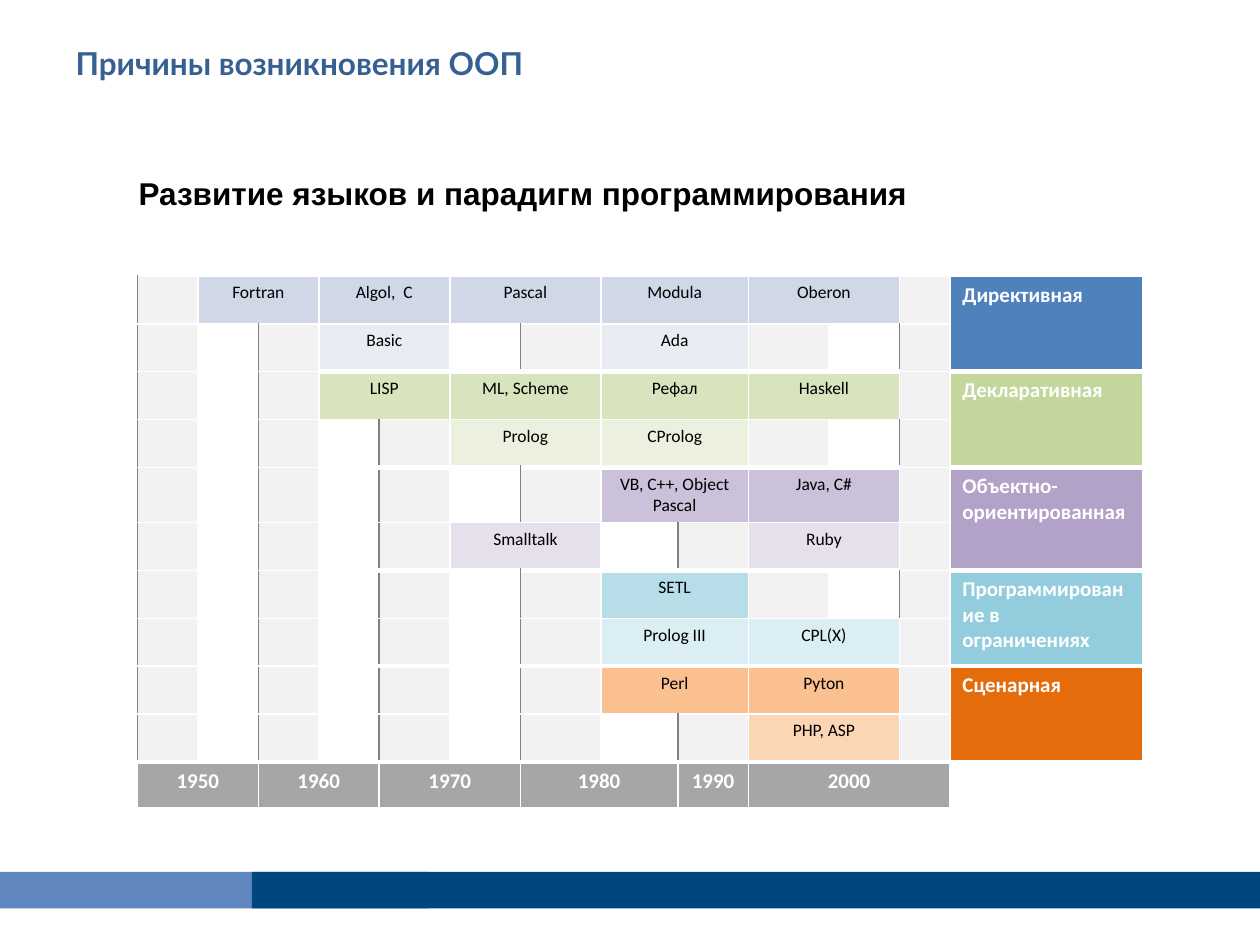
from lxml import etree
from pptx import Presentation
from pptx import util as u
from pptx.dml.color import RGBColor
from pptx.enum import shapes, text
from pptx.oxml import ns

COLORS = {
    "title": "376092", "ink": "000000", "paper": "FFFFFF",
    "band_light": "6087BF", "band_dark": "00467E",
    "stripe": "F2F2F2", "rule": "808080", "years": "A6A6A6",
}

COLUMN_WIDTHS = [0.48, 0.48, 0.48, 0.48, 0.56, 0.56, 0.64,
                 0.61, 0.56, 0.64, 0.56, 0.4, 1.53]
ROW_HEIGHT, TALL_ROW_HEIGHT, TALL_ROW = 0.38, 0.43, 4
STRIPED_COLUMNS = {0, 2, 4, 6, 8, 9, 11}
LABEL_COLUMN, YEAR_ROW = 12, 10
THIN, THICK = 0.96, 3

# Paradigm, its colour, then a (fill, {first column: language}) pair per row
PARADIGMS = [
    ("Директивная", "4F81BD", [
        ("D0D8E7", {1: "Fortran", 3: "Algol,  C", 5: "Pascal", 7: "Modula", 9: "Oberon"}),
        ("E9ECF3", {3: "Basic", 7: "Ada"})]),
    ("Декларативная", "C3D69B", [
        ("D7E4BD", {3: "LISP", 5: "ML, Scheme", 7: "Рефал", 9: "Haskell"}),
        ("EBF1DE", {5: "Prolog", 7: "CProlog"})]),
    ("Объектно-ориентированная", "B3A2C7", [
        ("CCC1DA", {7: "VB, C++, Object Pascal", 9: "Java, C#"}),
        ("E6E0EC", {5: "Smalltalk", 9: "Ruby"})]),
    ("Программирование в ограничениях", "93CDDD", [
        ("B7DEE8", {7: "SETL"}),
        ("DBEEF4", {7: "Prolog III", 9: "СPL(Х)"})]),
    ("Сценарная", "E46C0A", [
        ("FAC090", {7: "Perl", 9: "Pyton"}),
        ("FCD5B5", {9: "PHP, ASP"})]),
]
# Year, first column, number of columns
YEARS = [("1950", 0, 2), ("1960", 2, 2), ("1970", 4, 2),
         ("1980", 6, 2), ("1990", 8, 1), ("2000", 9, 3)]


def rgb(value):
    return RGBColor.from_string(value)


class SlideBuilder:
    def __init__(self, page, body_font="Calibri"):
        self.page = page
        self.body_font = body_font

    def style(self, para, size, color, bold=False, font=None, align=text.PP_ALIGN.LEFT):
        para.alignment = align
        para.font.name = font or self.body_font
        para.font.size = u.Pt(size)
        para.font.bold = bold
        para.font.color.rgb = rgb(color)

    def placeholder(self, index, place, words, font, color):
        box = self.page.placeholders[index]
        box.left, box.top, box.width, box.height = map(u.Inches, place)
        frame = box.text_frame
        frame.text = words
        frame.word_wrap = True
        frame.auto_size = text.MSO_AUTO_SIZE.NONE
        frame.vertical_anchor = text.MSO_ANCHOR.TOP
        para = frame.paragraphs[0]
        self.style(para, 18, color, True, font)
        return para

    def title(self, place, words):
        self.placeholder(0, place, words, "Lato", COLORS["title"])

    def heading(self, place, words):
        para = self.placeholder(1, place, words, "Arial", COLORS["ink"])
        para.space_before = u.Pt(3.6)
        props = para._p.get_or_add_pPr()
        props.set("marL", "0")
        props.set("indent", "0")
        props.insert_element_before(etree.Element(ns.qn("a:buNone")), "a:defRPr")

    def band(self, place, color):
        box = self.page.shapes.add_shape(shapes.MSO_SHAPE.RECTANGLE, *map(u.Inches, place))
        box.shadow.inherit = False
        box.fill.solid()
        box.fill.fore_color.rgb = rgb(color)
        box.line.fill.background()

    def table(self, left, top, widths, heights):
        frame = self.page.shapes.add_table(
            len(heights), len(widths), u.Inches(left), u.Inches(top),
            u.Inches(sum(widths)), u.Inches(sum(heights)))
        table = frame.table
        table.first_row = table.horz_banding = False
        for column, width in zip(table.columns, widths):
            column.width = u.Inches(width)
        for row, height in zip(table.rows, heights):
            row.height = u.Inches(height)
        return table

    def paint(self, cell, fill, left="paper", right="paper", top=THIN, bottom=THIN):
        props = cell._tc.get_or_add_tcPr()
        borders = [("L", left, THIN), ("R", right, THIN),
                   ("T", "paper", top), ("B", "paper", bottom)]
        for side, color, width in borders:
            line = etree.SubElement(props, ns.qn("a:ln" + side), w=str(u.Pt(width)))
            solid = etree.SubElement(line, ns.qn("a:solidFill"))
            etree.SubElement(solid, ns.qn("a:srgbClr"), val=COLORS[color])
        cell.fill.solid()
        cell.fill.fore_color.rgb = rgb(fill)
        self.style(cell.text_frame.paragraphs[0], 10, COLORS["ink"])

    def block(self, table, row, col, words, fill, rows=1, cols=1, **font):
        """Fill a run of cells, join them and write the words in the first."""
        for r in range(row, row + rows):
            for c in range(col, col + cols):
                self.paint(table.cell(r, c), fill, **edges(r, c))
        first = table.cell(row, col)
        if rows * cols > 1:
            first.merge(table.cell(row + rows - 1, col + cols - 1))
        first.text_frame.text = words
        self.style(first.text_frame.paragraphs[0], **font)


def edges(row, col):
    """Thick rules part the paradigms; the outer columns keep thin ones."""
    inner = 3 <= col <= 10 or col == LABEL_COLUMN
    opens = row == YEAR_ROW or (inner and row % 2 == 0 and row > 0)
    closes = row >= YEAR_ROW - 1 or (inner and row % 2 == 1)
    return {"top": THICK if opens else THIN, "bottom": THICK if closes else THIN}


def main():
    deck = Presentation()
    deck.slide_width, deck.slide_height = u.Inches(10), u.Inches(7.5)
    builder = SlideBuilder(deck.slides.add_slide(deck.slide_layouts[1]))

    # Footer bands
    builder.band((-0.02, 6.92, 3.42, 0.29), COLORS["band_light"])
    builder.band((2, 6.92, 8, 0.29), COLORS["band_dark"])

    # Title and heading
    builder.title((0.5, 0.3, 9, 0.78), "Причины возникновения ООП")
    builder.heading((1, 1.33, 8, 5.25), "Развитие языков и парадигм программирования")

    # Timeline table
    heights = [ROW_HEIGHT] * (YEAR_ROW + 1)
    heights[TALL_ROW] = TALL_ROW_HEIGHT
    table = builder.table(1.09, 2.19, COLUMN_WIDTHS, heights)
    center = text.PP_ALIGN.CENTER
    strong = {"size": 12, "color": COLORS["paper"], "bold": True}

    # Languages and paradigm labels
    taken = set()
    for group, (name, color, lines) in enumerate(PARADIGMS):
        for row, (fill, languages) in enumerate(lines, start=2 * group):
            for col, language in languages.items():
                builder.block(table, row, col, language, fill, cols=2,
                              size=10, color=COLORS["ink"], align=center)
                taken.update({(row, col), (row, col + 1)})
        builder.block(table, 2 * group, LABEL_COLUMN, name, color, rows=2, **strong)

    # Striped background with decade rules
    for row in range(YEAR_ROW):
        for col in range(LABEL_COLUMN):
            if (row, col) in taken:
                continue
            striped = col in STRIPED_COLUMNS
            ruled = striped and col - 1 not in STRIPED_COLUMNS and (row, col - 1) not in taken
            builder.paint(table.cell(row, col), COLORS["stripe" if striped else "paper"],
                          left="rule" if ruled else "paper",
                          right="paper" if striped else "rule", **edges(row, col))

    # Years
    for year, col, span in YEARS:
        builder.block(table, YEAR_ROW, col, year, COLORS["years"], cols=span,
                      align=center, **strong)
    builder.paint(table.cell(YEAR_ROW, LABEL_COLUMN), COLORS["paper"], top=THICK)

    deck.save("out.pptx")


if __name__ == "__main__":
    main()
